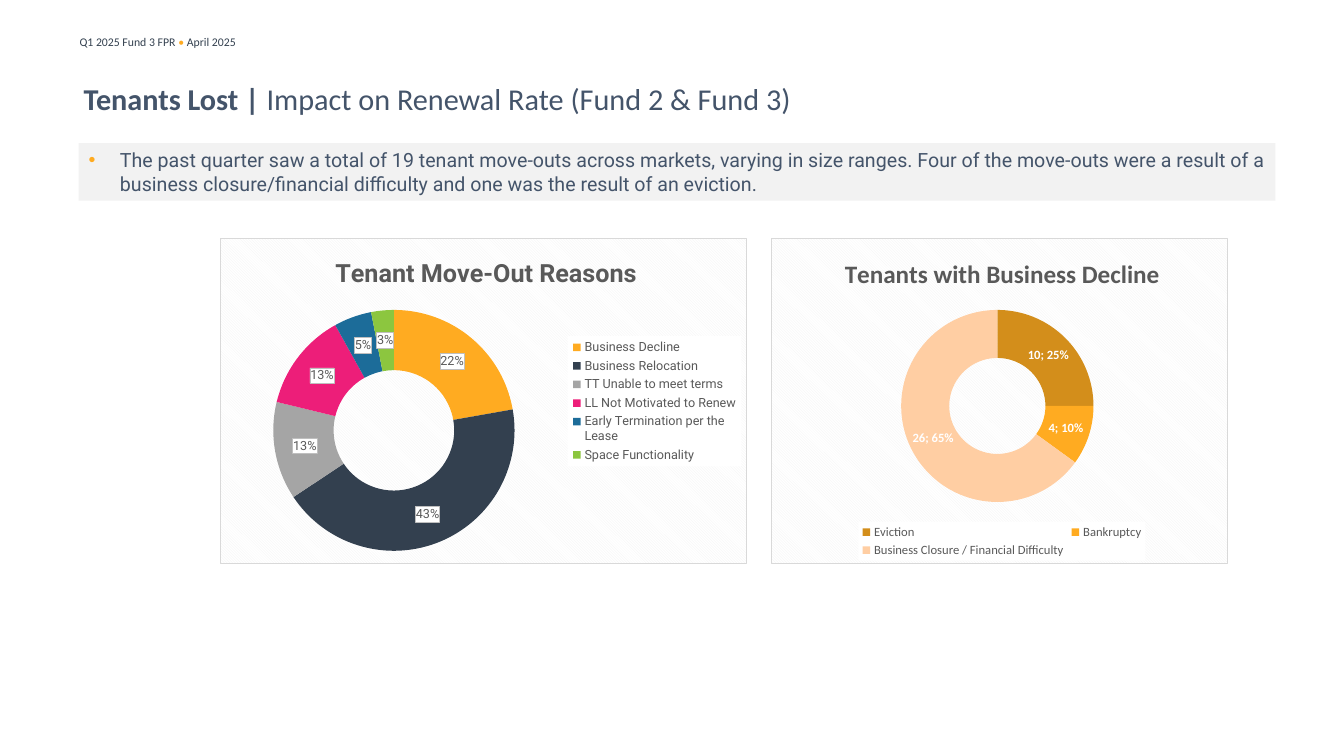
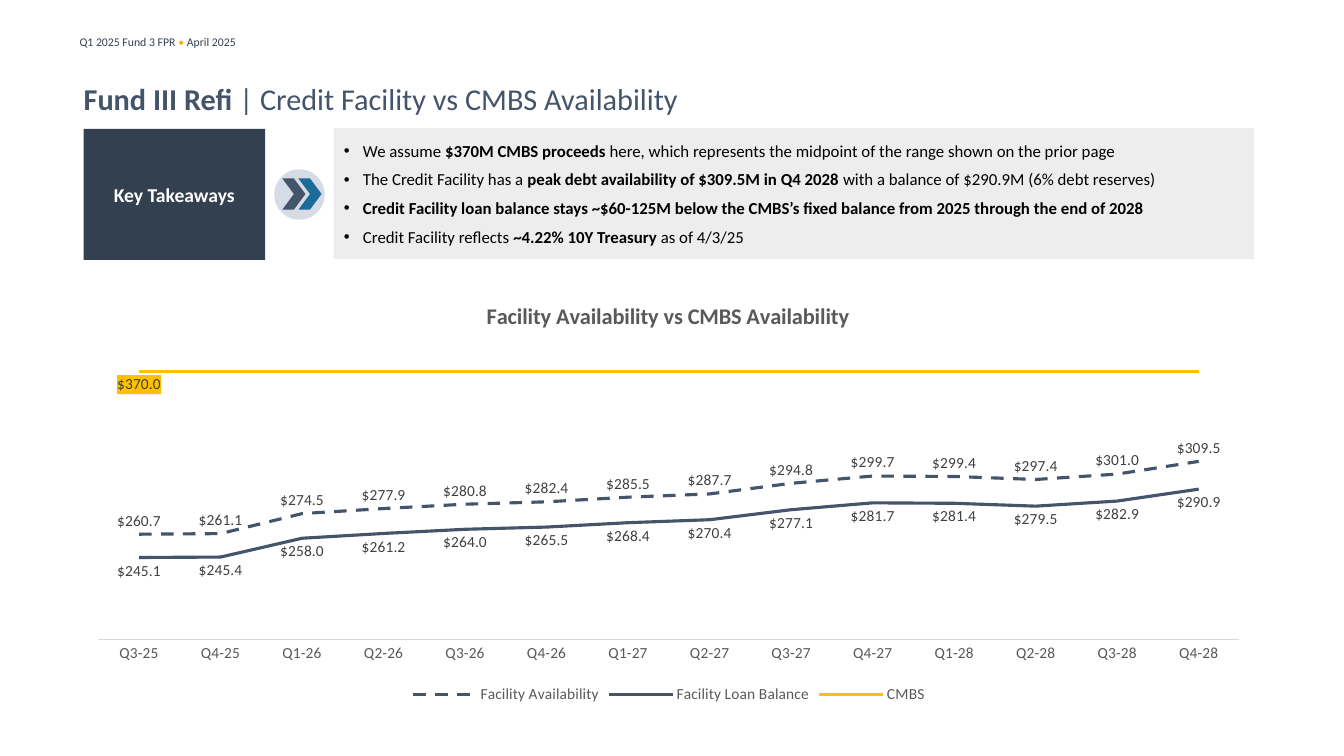
from lxml import etree
from pptx import Presentation
from pptx import util as u
from pptx.chart import data as chart_data
from pptx.dml.color import RGBColor
from pptx.enum import chart as ch, dml, shapes, text
from pptx.oxml import parse_xml
from pptx.oxml.ns import nsdecls, qn

Inches, Pt = u.Inches, u.Pt

NAVY = RGBColor(0x33, 0x40, 0x4F)
SLATE = RGBColor(0x44, 0x54, 0x6A)
BLUE = RGBColor(0x1C, 0x6C, 0x99)
AMBER = RGBColor(0xFF, 0xAB, 0x21)
DARK_AMBER = RGBColor(0xD3, 0x8E, 0x1B)
PEACH = RGBColor(0xFF, 0xCE, 0xA3)
GOLD = RGBColor(0xFF, 0xC0, 0x00)
PINK = RGBColor(0xED, 0x1E, 0x79)
GREEN = RGBColor(0x8C, 0xC6, 0x3F)
GREY = RGBColor(0xA5, 0xA5, 0xA5)
RULE_GREY = RGBColor(0xD9, 0xD9, 0xD9)
CHART_TEXT = RGBColor(0x59, 0x59, 0x59)
LABEL_TEXT = RGBColor(0x40, 0x40, 0x40)
BAND = RGBColor(0xF2, 0xF2, 0xF2)
TAKEAWAY_BAND = RGBColor(0xED, 0xED, 0xED)
PALE_BLUE = RGBColor(0xD6, 0xDC, 0xE5)
BLACK = RGBColor(0, 0, 0)
WHITE = RGBColor(0xFF, 0xFF, 0xFF)

DOLLARS = '"$"#,##0.0'
SOLID_FILL = ('<c:spPr %s><a:solidFill><a:srgbClr val="%s"/></a:solidFill>'
              '%s</c:spPr>')
LABEL_EDGE = ('<a:ln w="6350"><a:solidFill><a:srgbClr val="BFBFBF"/>'
              '</a:solidFill></a:ln>')


def write(paragraph, content, size, color, font="Calibri", bold=False,
          align=text.PP_ALIGN.LEFT, indent=None, bullet_color=None, before=0):
    """Add text to a paragraph; parts between ** marks are bold."""
    paragraph.alignment = align
    paragraph.space_before = Pt(before)
    if indent:
        props = paragraph._p.get_or_add_pPr()
        props.set("marL", str(Inches(indent)))
        props.set("indent", str(-Inches(indent)))
        bullet_rgb = etree.SubElement(props, qn("a:buClr"))
        etree.SubElement(bullet_rgb, qn("a:srgbClr"), val=str(bullet_color))
        etree.SubElement(props, qn("a:buFont"), typeface="Arial")
        etree.SubElement(props, qn("a:buChar"), char="•")
    for number, part in enumerate(content.split("**")):
        if part:
            run = paragraph.add_run()
            run.text = part
            run.font.name, run.font.size = font, Pt(size)
            run.font.bold = bold or number % 2 == 1
            run.font.color.rgb = color


def place(parent, index, **fractions):
    """Fix a chart part at fractions of the chart's size."""
    for old in parent.findall(qn("c:layout")):
        parent.remove(old)
    layout_xml = etree.Element(qn("c:layout"))
    manual = etree.SubElement(layout_xml, qn("c:manualLayout"))
    if index == 0:
        etree.SubElement(manual, qn("c:layoutTarget"), val="inner")
    for key in ("xMode", "yMode"):
        etree.SubElement(manual, qn("c:" + key), val="edge")
    for key, value in fractions.items():
        etree.SubElement(manual, qn("c:" + key), val=str(value))
    parent.insert(index, layout_xml)


prs = Presentation()
prs.slide_width, prs.slide_height = Inches(13.33), Inches(7.5)
layout = prs.slide_layouts[1]

# Shared title place
layout_title = layout.placeholders[0]
layout_title.left, layout_title.top = Inches(0.83), Inches(0.6)
layout_title.width, layout_title.height = Inches(11.02), Inches(0.75)
title_frame = layout_title.text_frame
title_frame.margin_left = title_frame.margin_right = 0
title_frame.margin_top = title_frame.margin_bottom = 0
title_frame.vertical_anchor = text.MSO_ANCHOR.MIDDLE

# Titles and bulleted bands
pages = [
    ("**Tenants Lost | **Impact on Renewal Rate (Fund 2 & Fund 3)",
     (0.78, 1.42, 11.87, 0.57), BAND, text.MSO_ANCHOR.TOP,
     dict(size=14, color=SLATE, font="Roboto", indent=0.31, bullet_color=AMBER),
     ["The past quarter saw a total of 19 tenant move-outs across markets, "
      "varying in size ranges. Four of the move-outs were a result of a "
      "business closure/financial difficulty and one was the result of an "
      "eviction."]),
    ("**Fund III Refi **| Credit Facility vs CMBS Availability",
     (3.31, 1.27, 9.13, 1.3), TAKEAWAY_BAND, text.MSO_ANCHOR.MIDDLE,
     dict(size=12, color=BLACK, indent=0.19, bullet_color=BLACK),
     ["We assume **$370M CMBS proceeds **here, which represents the midpoint "
      "of the range shown on the prior page",
      "The Credit Facility has a **peak debt availability of $309.5M in "
      "Q4 2028 **with a balance of $290.9M (6% debt reserves)",
      "**Credit Facility loan balance stays ~$60-125M below the CMBS’s fixed "
      "balance from 2025 through the end of 2028**",
      "Credit Facility reflects **~4.22% 10Y Treasury **as of 4/3/25"]),
]
slides = []
for heading, box, band_color, anchor, style, points in pages:
    slide = prs.slides.add_slide(layout)
    slides.append(slide)
    write(slide.shapes.title.text_frame.paragraphs[0], heading, 21.6, SLATE)
    band = slide.placeholders[1]
    band.left, band.top, band.width, band.height = map(Inches, box)
    band.fill.solid()
    band.fill.fore_color.rgb = band_color
    frame = band.text_frame
    frame.auto_size = text.MSO_AUTO_SIZE.NONE
    frame.margin_right = Inches(0.05)
    frame.vertical_anchor = anchor
    for number, point in enumerate(points):
        paragraph = frame.add_paragraph() if number else frame.paragraphs[0]
        write(paragraph, point, before=6 if number else 0, **style)
tenants, refi = slides

# Running header, moved to the layout so that both slides show it
header = tenants.shapes.add_textbox(
    Inches(0.69), Inches(0.3), Inches(4.51), Inches(0.24))
header.text_frame.word_wrap = True
for part, color in (("Q1 2025 Fund 3 FPR ", NAVY), ("• ", AMBER),
                    ("April 2025", NAVY)):
    write(header.text_frame.paragraphs[0], part, 8.4, color)
layout.shapes.element.append(header.element)

# Tenant doughnuts
doughnuts = [
    dict(title="Tenant Move-Out Reasons", font="Roboto", left=2.18, width=5.23,
         slices=[("Business Decline", 22, AMBER),
                 ("Business Relocation", 43, NAVY),
                 ("TT Unable to meet terms", 13, GREY),
                 ("LL Not Motivated to Renew", 13, PINK),
                 ("Early Termination per the Lease", 5, BLUE),
                 ("Space Functionality", 3, GREEN)],
         legend=ch.XL_LEGEND_POSITION.RIGHT, hole=50, boxed=True,
         title_at=dict(x=0.21, y=0.04),
         plot_at=dict(x=0.1, y=0.22, w=0.46, h=0.74),
         legend_at=dict(x=0.66, y=0.3, w=0.33, h=0.4)),
    dict(title="Tenants with Business Decline", font="Calibri", left=7.65,
         width=4.53,
         slices=[("Eviction", 10, DARK_AMBER), ("Bankruptcy", 4, AMBER),
                 ("Business Closure / Financial Difficulty", 26, PEACH)],
         legend=ch.XL_LEGEND_POSITION.BOTTOM, hole=70, boxed=False,
         title_at=dict(x=0.15, y=0.04),
         plot_at=dict(x=0.28, y=0.22, w=0.43, h=0.59),
         legend_at=dict(x=0.19, y=0.87, w=0.63, h=0.12)),
]
for ring in doughnuts:
    names, counts, colors = zip(*ring["slices"])
    ring_data = chart_data.CategoryChartData()
    ring_data.categories = names
    ring_data.add_series("Tenants", counts)
    chart = tenants.shapes.add_chart(
        ch.XL_CHART_TYPE.DOUGHNUT, Inches(ring["left"]), Inches(2.36),
        Inches(ring["width"]), Inches(3.24), ring_data).chart
    chart.font.name, chart.font.size = ring["font"], Pt(10)
    chart.has_title = True
    write(chart.chart_title.text_frame.paragraphs[0], ring["title"], 18,
          CHART_TEXT, font=ring["font"], bold=True,
          align=text.PP_ALIGN.CENTER)
    chart.has_legend = True
    legend = chart.legend
    legend.position = ring["legend"]
    legend.include_in_layout = False
    legend.font.name, legend.font.size = ring["font"], Pt(9)
    legend.font.color.rgb = CHART_TEXT
    plot = chart.plots[0]
    plot.vary_by_categories = True
    series = plot.series[0]
    for number, color in enumerate(colors):
        fill = series.points[number].format.fill
        fill.solid()
        fill.fore_color.rgb = color
    labels = series.data_labels
    labels.show_percentage = True
    labels.show_value = not ring["boxed"]
    labels.font.name, labels.font.size = ring["font"], Pt(9)
    labels.font.bold = not ring["boxed"]
    labels.font.color.rgb = CHART_TEXT if ring["boxed"] else WHITE

    # Label boxes, separator, hole and hatched frame
    root = chart.element
    label_xml = next(root.iter(qn("c:dLbls")))
    legend_xml = next(root.iter(qn("c:legend")))
    legend_xml.find(qn("c:txPr")).addprevious(
        parse_xml(SOLID_FILL % (nsdecls("c", "a"), WHITE, "")))
    if ring["boxed"]:
        labels.number_format = "0%"
        labels.number_format_is_linked = False
        label_xml.find(qn("c:txPr")).addprevious(
            parse_xml(SOLID_FILL % (nsdecls("c", "a"), WHITE, LABEL_EDGE)))
    else:
        separator = etree.Element(qn("c:separator"))
        separator.text = "; "
        label_xml.find(qn("c:showBubbleSize")).addnext(separator)
    next(root.iter(qn("c:holeSize"))).set("val", str(ring["hole"]))
    root.find(qn("c:chart")).addnext(parse_xml(
        f'<c:spPr {nsdecls("c", "a")}><a:pattFill prst="dkDnDiag">'
        f'<a:fgClr><a:srgbClr val="{BAND}"/></a:fgClr>'
        f'<a:bgClr><a:srgbClr val="{WHITE}"/></a:bgClr></a:pattFill>'
        f'<a:ln w="9525"><a:solidFill><a:srgbClr val="{RULE_GREY}"/>'
        '</a:solidFill></a:ln></c:spPr>'))
    place(next(root.iter(qn("c:title"))), 1, **ring["title_at"])
    place(next(root.iter(qn("c:plotArea"))), 0, **ring["plot_at"])
    place(legend_xml, 1, **ring["legend_at"])

# Key takeaways block with its arrow badge
SHAPE = shapes.MSO_SHAPE
for preset, box, color, caption in (
        (SHAPE.RECTANGLE, (0.83, 1.28, 1.8, 1.3), NAVY, "Key Takeaways"),
        (SHAPE.OVAL, (2.72, 1.68, 0.5, 0.5), PALE_BLUE, ""),
        (SHAPE.CHEVRON, (2.8, 1.77, 0.23, 0.31), SLATE, ""),
        (SHAPE.CHEVRON, (2.96, 1.77, 0.23, 0.31), BLUE, "")):
    block = refi.shapes.add_shape(preset, *map(Inches, box))
    block.shadow.inherit = False
    block.fill.solid()
    block.fill.fore_color.rgb = color
    block.line.fill.background()
    if caption:
        block.text_frame.vertical_anchor = text.MSO_ANCHOR.MIDDLE
        write(block.text_frame.paragraphs[0], caption, 14, WHITE, bold=True,
              align=text.PP_ALIGN.CENTER)

# Availability line chart
quarters = [f"Q{n % 4 + 1}-{25 + n // 4}" for n in range(2, 16)]
ABOVE, BELOW = ch.XL_LABEL_POSITION.ABOVE, ch.XL_LABEL_POSITION.BELOW
lines = [
    ("Facility Availability",
     [260.7, 261.1, 274.5, 277.9, 280.8, 282.4, 285.5, 287.7, 294.8, 299.7,
      299.4, 297.4, 301, 309.5], SLATE, ABOVE),
    ("Facility Loan Balance",
     [245.1, 245.4, 258, 261.2, 264, 265.5, 268.4, 270.4, 277.1, 281.7,
      281.4, 279.5, 282.9, 290.9], SLATE, BELOW),
    ("CMBS", [370] * len(quarters), GOLD, BELOW),
]
line_data = chart_data.CategoryChartData(number_format=DOLLARS)
line_data.categories = quarters
for name, amounts, _, _ in lines:
    line_data.add_series(name, amounts)
chart = refi.shapes.add_chart(
    ch.XL_CHART_TYPE.LINE, Inches(0.86), Inches(2.82), Inches(11.55),
    Inches(4.2), line_data).chart
chart.font.name, chart.font.size = "Calibri", Pt(11)
chart.font.color.rgb = CHART_TEXT
chart.has_title = True
write(chart.chart_title.text_frame.paragraphs[0],
      "Facility Availability vs CMBS Availability", 16, CHART_TEXT, bold=True,
      align=text.PP_ALIGN.CENTER)
chart.has_legend = True
chart.legend.position = ch.XL_LEGEND_POSITION.BOTTOM
chart.legend.include_in_layout = False
chart.plots[0].vary_by_categories = False
chart.value_axis.minimum_scale, chart.value_axis.maximum_scale = 190, 380
chart.value_axis.has_major_gridlines = False
chart.value_axis.visible = False
chart.category_axis.major_tick_mark = ch.XL_TICK_MARK.NONE
chart.category_axis.format.line.color.rgb = RULE_GREY
chart.category_axis.format.line.width = Pt(0.75)

for series, (name, _, color, position) in zip(chart.plots[0].series, lines):
    # The flat line is labelled at its first point only
    flat = name == "CMBS"
    series.smooth = False
    series.marker.style = ch.XL_MARKER_STYLE.NONE
    series.format.line.color.rgb = color
    series.format.line.width = Pt(2.25)
    if position == ABOVE:
        series.format.line.dash_style = dml.MSO_LINE.DASH
    labels = series.points[0].data_label if flat else series.data_labels
    labels.position = position
    labels.font.name, labels.font.size = "Calibri", Pt(11)
    labels.font.color.rgb = LABEL_TEXT
    series.data_labels.show_value = not flat
    series.data_labels.number_format = DOLLARS
    series.data_labels.number_format_is_linked = False

flat_label_text = next(chart.element.iter(qn("c:dLbl"))).find(qn("c:txPr"))
number_format = etree.Element(qn("c:numFmt"), formatCode=DOLLARS,
                              sourceLinked="0")
flat_label_text.addprevious(number_format)
number_format.addnext(parse_xml(SOLID_FILL % (nsdecls("c", "a"), GOLD, "")))
place(next(chart.element.iter(qn("c:title"))), 1, x=0.34, y=0.03)
place(next(chart.element.iter(qn("c:plotArea"))), 0,
      x=0.01, y=0.17, w=0.98, h=0.67)

prs.save("out.pptx")
